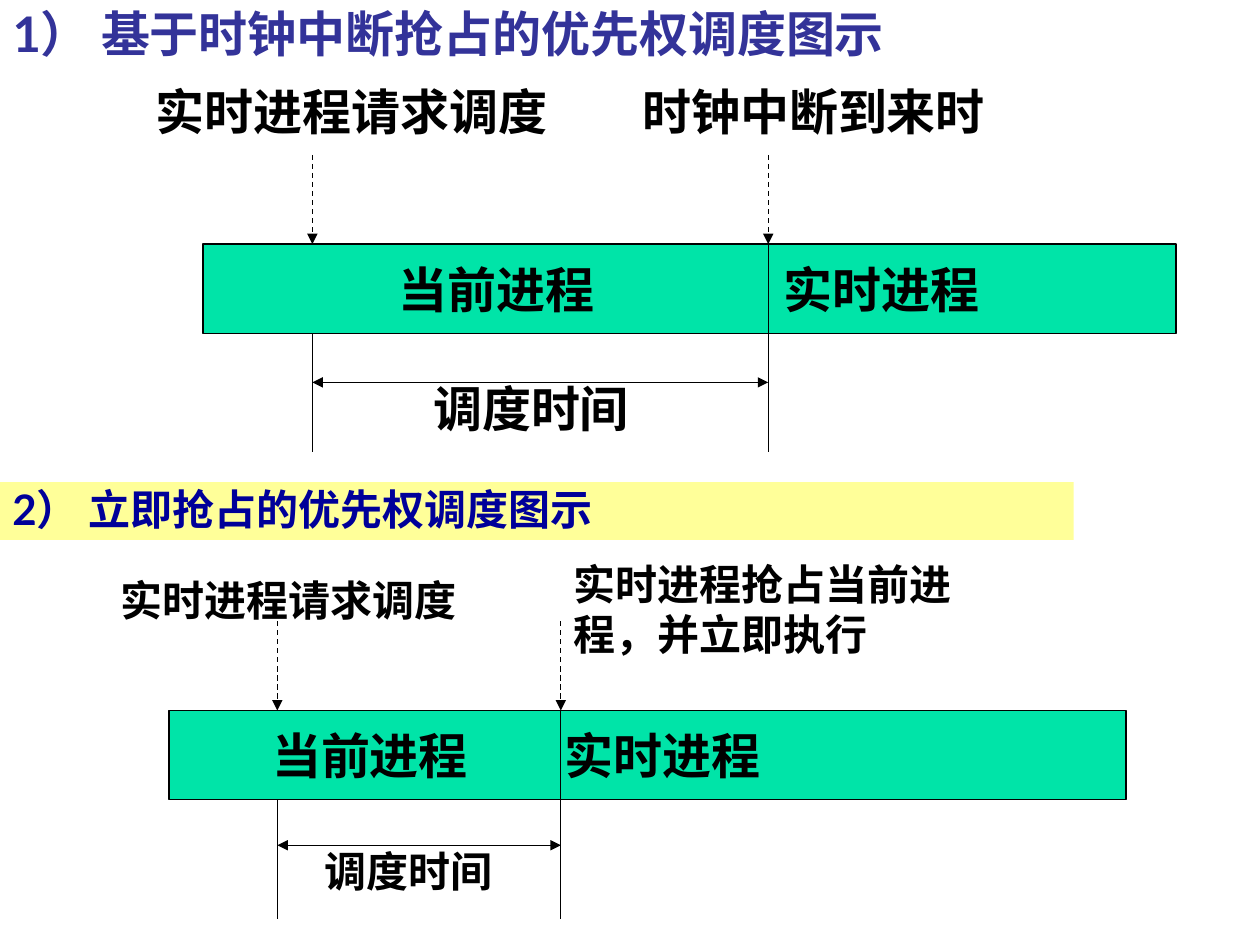
from lxml import etree
from pptx import Presentation
from pptx.dml.color import RGBColor
from pptx.enum.dml import MSO_LINE
from pptx.enum.shapes import MSO_CONNECTOR, MSO_SHAPE
from pptx.enum.text import MSO_ANCHOR, MSO_AUTO_SIZE, PP_ALIGN
from pptx.oxml.ns import qn
from pptx.util import Pt

RECT = MSO_SHAPE.RECTANGLE
STRAIGHT = MSO_CONNECTOR.STRAIGHT
DASH = MSO_LINE.DASH
LEFT = PP_ALIGN.LEFT
BOTTOM, MIDDLE, TOP = MSO_ANCHOR.BOTTOM, MSO_ANCHOR.MIDDLE, MSO_ANCHOR.TOP
NO_AUTOFIT = MSO_AUTO_SIZE.NONE

BLACK = RGBColor(0x00, 0x00, 0x00)
WHITE = RGBColor(0xFF, 0xFF, 0xFF)
GREEN = RGBColor(0x00, 0xE4, 0xA8)
YELLOW = RGBColor(0xFF, 0xFF, 0x99)
INDIGO = RGBColor(0x33, 0x33, 0x99)
NAVY = RGBColor(0x00, 0x00, 0x99)

BAR_H = 51
STEM_H = 68
HEADING_W = 613.5


def write(sp, text, size, color=BLACK, font="Arial", anchor=TOP):
    """Put one bold, left-aligned run into a shape and return its paragraph."""
    tf = sp.text_frame
    tf.word_wrap = True
    tf.auto_size = NO_AUTOFIT
    tf.vertical_anchor = anchor
    p = tf.paragraphs[0]
    p.alignment = LEFT
    r = p.add_run()
    r.text = text
    r.font.name = font
    r.font.size = Pt(size)
    r.font.bold = True
    r.font.color.rgb = color
    return p


def add_title(s, text):
    """Fill the title placeholder at the top of the slide."""
    sp = s.shapes.title
    sp.left, sp.top, sp.width, sp.height = Pt(0), Pt(0), Pt(HEADING_W), Pt(39)
    sp.fill.solid()
    sp.fill.fore_color.rgb = WHITE
    write(sp, text, 28, INDIGO, "Lato", BOTTOM)


def add_box(s, x, y, w, h, fill):
    """Add a flat filled rectangle without outline."""
    sp = s.shapes.add_shape(RECT, Pt(x), Pt(y), Pt(w), Pt(h))
    sp.shadow.inherit = False
    sp.fill.solid()
    sp.fill.fore_color.rgb = fill
    sp.line.fill.background()
    return sp


def add_label(s, x, y, w, h, text, size):
    """Add a plain text box."""
    write(s.shapes.add_textbox(Pt(x), Pt(y), Pt(w), Pt(h)), text, size)


def add_bar(s, x, y, w, inset, tab):
    """Add the process bar, with its second name at a tab stop."""
    sp = add_box(s, x, y, w, BAR_H, GREEN)
    sp.line.color.rgb = BLACK
    sp.line.width = Pt(0.75)
    sp.text_frame.margin_left = Pt(inset)
    p = write(sp, "当前进程\t实时进程", 28, anchor=MIDDLE)
    tabs = etree.SubElement(p._p.get_or_add_pPr(), qn("a:tabLst"))
    etree.SubElement(tabs, qn("a:tab"), pos=str(Pt(tab)), algn="l")


def add_line(s, x1, y1, x2, y2, arrows=(), dash=None):
    """Add a thin line with optional arrowheads and dashes."""
    cx = s.shapes.add_connector(STRAIGHT, Pt(x1), Pt(y1), Pt(x2), Pt(y2))
    cx.line.color.rgb = BLACK
    cx.line.width = Pt(0.75)
    if dash:
        cx.line.dash_style = dash
    ln = cx.line._get_or_add_ln()
    for end in arrows:
        etree.SubElement(ln, qn(f"a:{end}"), type="triangle")
    etree.SubElement(cx._element.spPr, qn("a:effectLst"))


def add_timeline(s, bar, request, switch, span_gap):
    """Add a bar with its request and switch marks and the time span."""
    x, y, w, inset, tab = bar
    base = y + BAR_H
    add_bar(s, x, y, w, inset, tab)
    add_line(s, request, base, request, base + STEM_H)
    add_line(s, switch, y, switch, base + STEM_H)
    add_line(s, request, base + span_gap, switch, base + span_gap,
             ("headEnd", "tailEnd"))
    for mark in (request, switch):
        add_line(s, mark, y - BAR_H, mark, y, ("tailEnd",), DASH)


def main():
    """Build the slide with both scheduling diagrams."""
    prs = Presentation()
    prs.slide_width, prs.slide_height = Pt(720), Pt(540)
    s = prs.slides.add_slide(prs.slide_layouts[5])

    add_title(s, "1） 基于时钟中断抢占的优先权调度图示")
    add_timeline(s, (116, 139.5, 556, 112, 220), 178.5, 439, 28)
    add_label(s, 82, 43, 244, 41, "实时进程请求调度", 28)
    add_label(s, 360, 43, 244, 41, "时钟中断到来时", 28)
    add_label(s, 240.5, 213, 136, 41, "调度时间", 28)

    heading = add_box(s, 0, 275.5, HEADING_W, 33, YELLOW)
    write(heading, "2） 立即抢占的优先权调度图示", 24, NAVY, "Lato", BOTTOM)
    add_timeline(s, (96.5, 406, 547, 59, 167), 158.5, 320.5, 26)
    add_label(s, 62, 324.5, 244, 36, "实时进程请求调度", 24)
    add_label(s, 320.5, 315.5, 244, 65, "实时进程抢占当前进程，并立即执行", 24)
    add_label(s, 178.5, 479.5, 136, 36, "调度时间", 24)

    prs.save("out.pptx")


if __name__ == "__main__":
    main()
